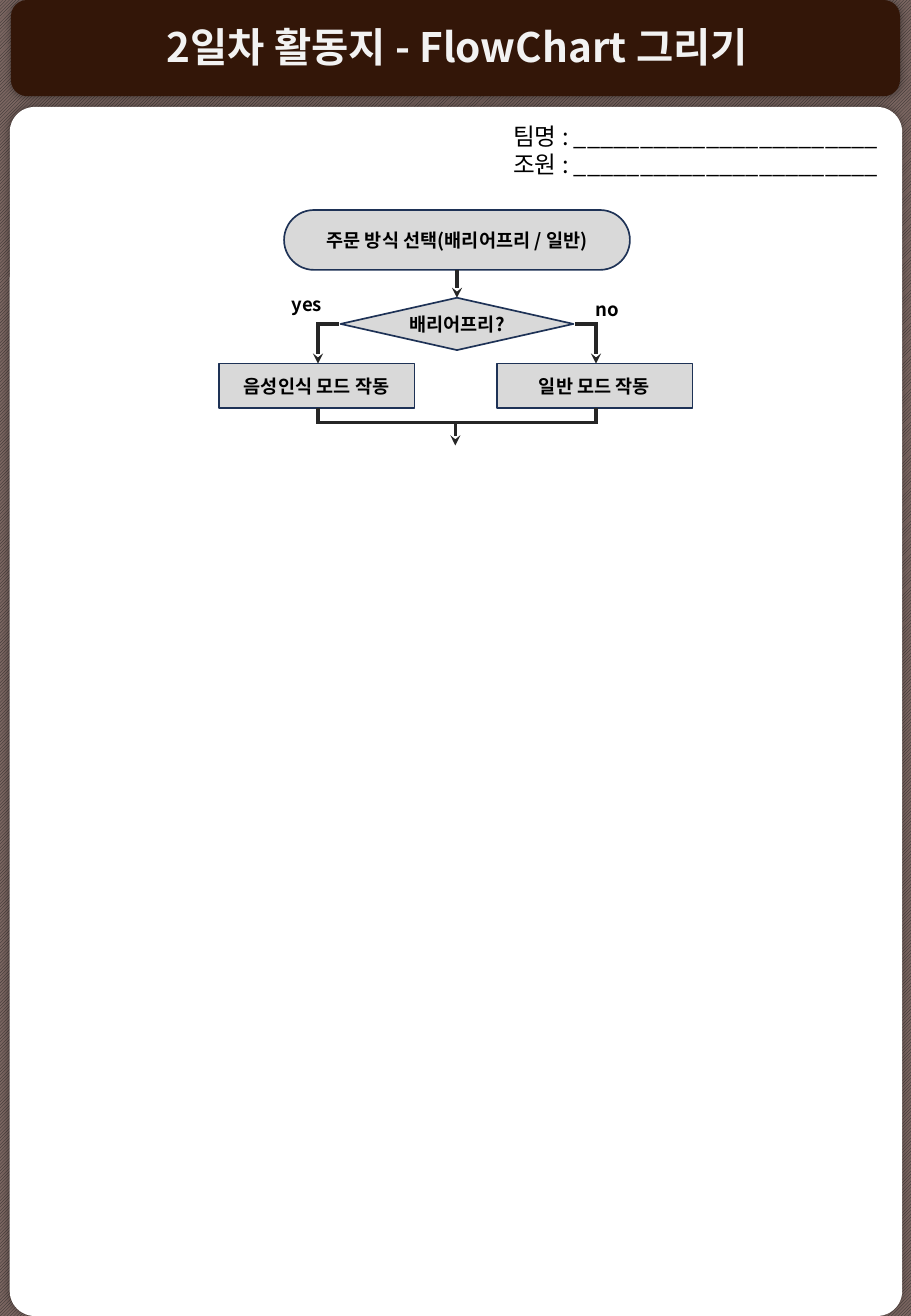
import pptx
import pptx.util
import pptx.dml.color
import pptx.enum.dml
import pptx.enum.shapes
import pptx.enum.text
import pptx.oxml
import pptx.oxml.ns

Pt = pptx.util.Pt
SHAPE = pptx.enum.shapes.MSO_SHAPE
ALIGN = pptx.enum.text.PP_ALIGN
ANCHOR = pptx.enum.text.MSO_ANCHOR
FONT = "Noto Sans CJK KR"
INK, DARK, NODE_FILL, NODE_LINE = "000000", "262626", "D9D9D9", "1E3256"
LABEL = {"size": Pt(11), "bold": True, "name": FONT}


def rgb(value):
    return pptx.dml.color.RGBColor.from_string(value)


def add_xml(parent, xml):
    ns = pptx.oxml.ns.nsdecls("a")
    parent.append(pptx.oxml.parse_xml(xml.replace("/>", f" {ns}/>", 1) if xml.endswith("/>")
                                      and xml.count("<") == 1 else xml.replace(">", f" {ns}>", 1)))


def write(sp, lines, fmt, color=INK, align=ALIGN.CENTER, spacing=None):
    tf = sp.text_frame
    for i, line in enumerate(lines):
        p = tf.paragraphs[0] if i == 0 else tf.add_paragraph()
        p.alignment = align
        p.line_spacing = spacing
        r = p.add_run()
        r.text = line
        r.font.color.rgb = rgb(color)
        for key, value in fmt.items():
            setattr(r.font, key, value)
        add_xml(r.font._element, f'<a:ea typeface="{FONT}"/>')


def add_box(s, kind, box, fill, line=None, radius=None):
    sp = s.shapes.add_shape(kind, *map(Pt, box))
    sp.shadow.inherit = False
    sp.fill.solid()
    sp.fill.fore_color.rgb = rgb(fill)
    if line:
        sp.line.color.rgb = rgb(line)
        sp.line.width = Pt(1)
    else:
        sp.line.fill.background()
    if radius is not None:
        sp.adjustments[0] = radius
    return sp


def add_node(s, kind, box, text, radius=None):
    sp = add_box(s, kind, box, NODE_FILL, NODE_LINE, radius)
    tf = sp.text_frame
    tf.word_wrap = False
    tf.vertical_anchor = ANCHOR.MIDDLE
    write(sp, [text], LABEL)


def add_text(s, box, lines, fmt, **style):
    sp = s.shapes.add_textbox(*map(Pt, box))
    sp.text_frame.word_wrap = True
    write(sp, lines, fmt, **style)


def add_line(s, start, end, arrow=False):
    cn = s.shapes.add_connector(pptx.enum.shapes.MSO_CONNECTOR.STRAIGHT, *map(Pt, start + end))
    cn.line.color.rgb = rgb(DARK)
    cn.line.width = Pt(2)
    if arrow:
        add_xml(cn.line._get_or_add_ln(), '<a:tailEnd type="stealth"/>')
    add_xml(cn._element.spPr, "<a:effectLst/>")


def add_panel(s, box, fill, radius):
    sp = add_box(s, SHAPE.ROUNDED_RECTANGLE, box, fill, radius=radius)
    spPr = sp._element.spPr
    spPr.remove(spPr.find(pptx.oxml.ns.qn("a:effectLst")))
    add_xml(spPr, '<a:effectLst><a:outerShdw blurRad="63500" dist="0" dir="0">'
                  '<a:srgbClr val="000000"><a:alpha val="40000"/></a:srgbClr>'
                  '</a:outerShdw></a:effectLst>')


def add_backdrop(s, x, y, w, h):
    sp = add_box(s, SHAPE.RECTANGLE, (x, y, w, h), "7A6560")
    sp.fill.patterned()
    sp.fill.pattern = pptx.enum.dml.MSO_PATTERN.LIGHT_UPWARD_DIAGONAL
    sp.fill.fore_color.rgb = rgb(DARK)
    sp.fill.back_color.rgb = rgb("7A6560")


def add_banner(s, x, y, w, h, text):
    add_panel(s, (x, y, w, h), "331608", 0.168)
    title = s.shapes.title
    s.shapes.element.append(title.element)
    place = {"left": x + 34, "top": y + 6.5, "width": w - 66, "height": 42.5}
    for key, value in place.items():
        setattr(title, key, Pt(value))
    tf = title.text_frame
    tf.auto_size = pptx.enum.text.MSO_AUTO_SIZE.NONE
    tf.vertical_anchor = ANCHOR.MIDDLE
    write(title, [text], {"size": Pt(24), "bold": True, "name": FONT}, color="F2F2F2")


def add_sheet(s, x, y, w, h, fields):
    add_panel(s, (x, y, w, h), "FFFFFF", 0.028)
    lines = [f"{field} : {'_' * 23}" for field in fields]
    add_text(s, (x + 147, y + 5.8, w - 154, 41), lines, {"size": Pt(14), "name": FONT},
             align=ALIGN.RIGHT, spacing=Pt(16.6))


def add_flowchart(s, x, y, w):
    mid = x + w / 2 + 0.8
    step_w, step_h = 116, 26.5
    fork_y, step_y, join_y = y + 67.5, y + 91, y + 126
    add_node(s, SHAPE.ROUNDED_RECTANGLE, (mid - 102.5, y, 205, 35.5),
             "주문 방식 선택(배리어프리 / 일반)", 0.5)
    add_line(s, (mid, y + 35.5), (mid, y + 52), arrow=True)
    add_node(s, SHAPE.FLOWCHART_DECISION, (mid - 69, y + 52, 138, 31), "배리어프리?")

    branches = [(-1, "yes", 45.5, "음성인식 모드 작동"), (1, "no", 48.5, "일반 모드 작동")]
    for side, answer, label_y, step in branches:
        arm = mid + side * 82.4
        add_line(s, (arm, fork_y), (arm, step_y), arrow=True)
        add_line(s, (arm + side, fork_y), (mid + side * 70, fork_y))
        add_text(s, (mid + side * 89 - 32, y + label_y, 64, 18), [answer], LABEL)
        add_node(s, SHAPE.RECTANGLE, (arm - 0.8 - step_w / 2, step_y, step_w, step_h), step)
        add_line(s, (arm, step_y + step_h), (arm, join_y))
    add_line(s, (mid - 83.4, join_y), (mid + 83.4, join_y))
    add_line(s, (mid - 1, join_y), (mid - 1, y + 139.5), arrow=True)


def main():
    prs = pptx.Presentation()
    prs.slide_width, prs.slide_height = Pt(540), Pt(780)
    s = prs.slides.add_slide(prs.slide_layouts[5])
    add_backdrop(s, 0, 0, 540, 780)
    add_banner(s, 6.5, 0, 527, 57, "2일차 활동지 - FlowChart 그리기")
    add_sheet(s, 5.8, 63.4, 529, 716.6, ["팀명", "조원"])
    add_flowchart(s, 129.6, 124.5, 281)
    prs.save("out.pptx")


if __name__ == "__main__":
    main()
